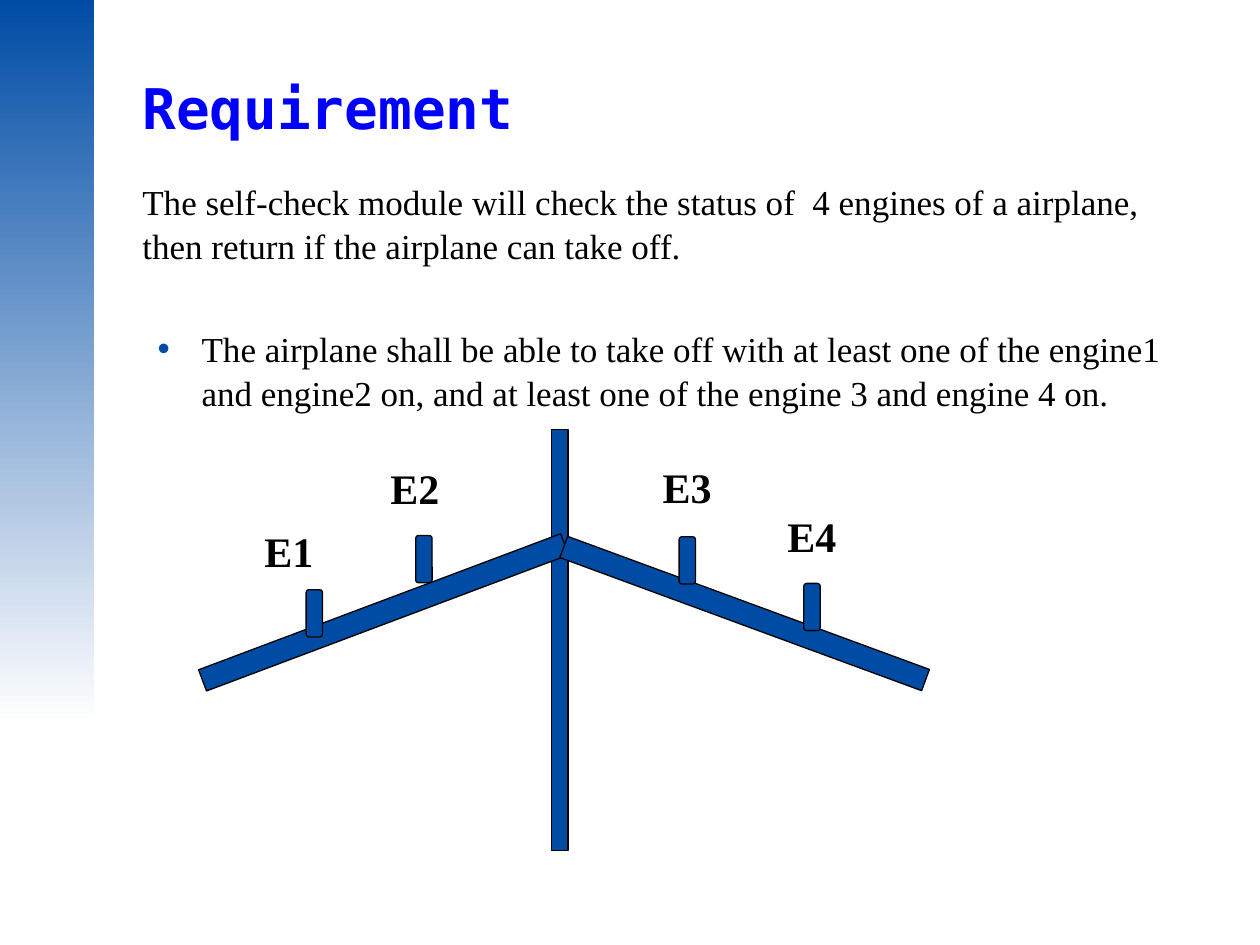
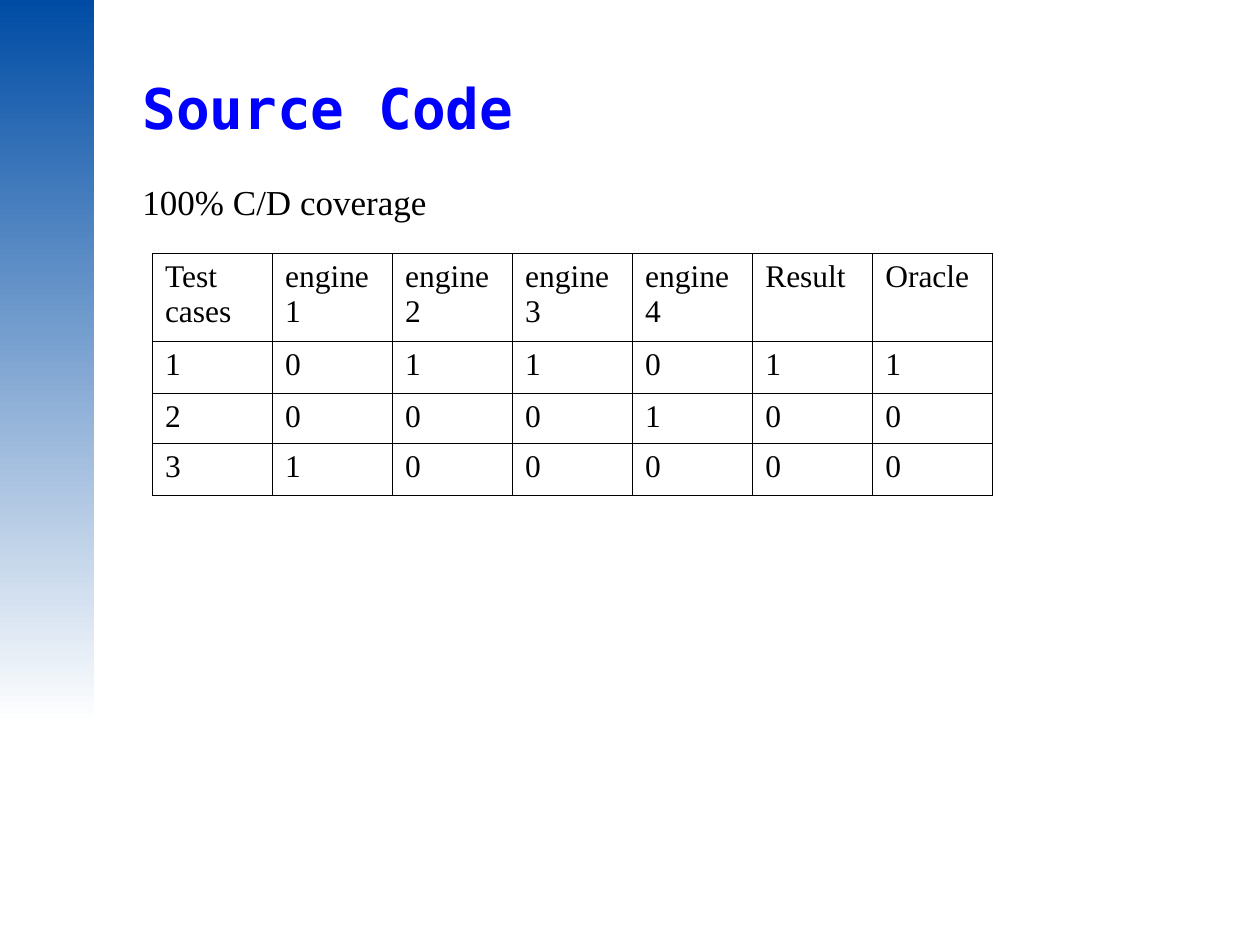
from lxml import etree
from pptx import Presentation
from pptx.dml.color import RGBColor
from pptx.enum.shapes import MSO_SHAPE
from pptx.enum.text import MSO_ANCHOR, MSO_AUTO_SIZE, PP_ALIGN
from pptx.oxml.ns import qn
from pptx.util import Inches, Pt

RECTANGLE, ROUNDED = MSO_SHAPE.RECTANGLE, MSO_SHAPE.ROUNDED_RECTANGLE
TOP, LEFT, NO_FIT = MSO_ANCHOR.TOP, PP_ALIGN.LEFT, MSO_AUTO_SIZE.NONE

COLORS = {"blue": "004CA5", "title": "0000FF", "text": "000000", "white": "FFFFFF"}
TITLE_FONT, TEXT_FONT = "DejaVu Sans Mono", "Times New Roman"

REQUIREMENT = {
    "title": "Requirement",
    "intro": "The self-check module will check the status of  4 engines of a airplane, "
             "then return if the airplane can take off.",
    "rules": ["The airplane shall be able to take off with at least one of the engine1 "
              "and engine2 on, and at least one of the engine 3 and engine 4 on."],
}
SOURCE_CODE = {"title": "Source Code", "intro": "100% C/D coverage", "rules": []}

FUSELAGE = (4.38, 3.41, 0.13, 3.34)
WINGS = [((1.51, 4.77, 3.07, 0.18), 339.4), ((4.38, 4.78, 3.06, 0.18), 20.2)]
ENGINES = [
    ("E1", (2.43, 4.68), (2, 4.12)),
    ("E2", (3.3, 4.25), (3, 3.62)),
    ("E3", (5.39, 4.26), (5.16, 3.61)),
    ("E4", (6.38, 4.63), (6.15, 4)),
]
ENGINE_SIZE, LABEL_SIZE = (0.13, 0.375), (0.59, 0.5)

TEST_CASES = [
    ["Test cases", "engine1", "engine2", "engine3", "engine4", "Result", "Oracle"],
    ["1", "0", "1", "1", "0", "1", "1"],
    ["2", "0", "0", "0", "1", "0", "0"],
    ["3", "1", "0", "0", "0", "0", "0"],
]
ROW_HEIGHTS = [0.7, 0.41, 0.4, 0.41]
TABLE_AT = (1.21, 2.01, 6.67, 1.92)


def rgb(name):
    return RGBColor.from_string(COLORS[name])


def inches(box):
    return [Inches(length) for length in box]


def place(holder, box):
    holder.left, holder.top, holder.width, holder.height = inches(box)
    frame = holder.text_frame
    frame.margin_left = frame.margin_right = frame.margin_top = frame.margin_bottom = 0
    frame.vertical_anchor, frame.auto_size, frame.word_wrap = TOP, NO_FIT, True
    return frame


def style(paragraph, size, color="text", font=TEXT_FONT, bold=False):
    paragraph.alignment = LEFT
    for run in paragraph.runs:
        run.font.name, run.font.size, run.font.bold = font, Pt(size), bold
        run.font.color.rgb = rgb(color)


def set_bullet(paragraph, bulleted):
    props = paragraph._p.get_or_add_pPr()
    margin, indent = (0.47, -0.35) if bulleted else (0, 0)
    props.set("marL", str(Inches(margin)))
    props.set("indent", str(Inches(indent)))
    if bulleted:
        color = etree.SubElement(props, qn("a:buClr"))
        etree.SubElement(color, qn("a:srgbClr"), val=COLORS["blue"])
        etree.SubElement(props, qn("a:buChar"), char="•")
    else:
        etree.SubElement(props, qn("a:buNone"))


def add_slide(prs, content):
    slide = prs.slides.add_slide(prs.slide_layouts[1])
    band = slide.shapes.add_shape(RECTANGLE, *inches((0, 0, 0.75, 5.75)))
    band.shadow.inherit = False
    band.line.fill.background()
    band.fill.gradient()
    band.fill.gradient_angle = 270
    for stop, color in zip(band.fill.gradient_stops, ("blue", "white")):
        stop.color.rgb = rgb(color)

    heading = place(slide.shapes.title, (1.13, 0.64, 8.48, 0.59))
    heading.text = content["title"]
    heading.paragraphs[0].line_spacing = 0.9
    style(heading.paragraphs[0], 32, "title", TITLE_FONT, True)

    body = place(slide.placeholders[1], (1.13, 1.42, 8.44, 5.68))
    body.text = "\n".join([content["intro"], *content["rules"]])
    for index, paragraph in enumerate(body.paragraphs):
        style(paragraph, 20)
        paragraph.line_spacing = 1.04
        paragraph.space_before = Pt(34 if index else 5)
        set_bullet(paragraph, index > 0)
    return slide


def add_part(slide, kind, box, rotation=0):
    part = slide.shapes.add_shape(kind, *inches(box))
    part.shadow.inherit = False
    part.rotation = rotation
    part.fill.solid()
    part.fill.fore_color.rgb = rgb("blue")
    part.line.color.rgb = rgb("text")
    part.line.width = Pt(0.75)
    return part


def draw_airplane(slide):
    add_part(slide, RECTANGLE, FUSELAGE)
    for box, rotation in WINGS:
        add_part(slide, RECTANGLE, box, rotation)
    for name, engine_at, label_at in ENGINES:
        engine = add_part(slide, ROUNDED, engine_at + ENGINE_SIZE)
        engine.adjustments[0] = 0.17
        label = slide.shapes.add_textbox(*inches(label_at + LABEL_SIZE)).text_frame
        label.word_wrap = False
        label.text = name
        style(label.paragraphs[0], 24, bold=True)


def add_borders(cell):
    props = cell._tc.get_or_add_tcPr()
    for side in ("lnL", "lnR", "lnT", "lnB"):
        line = etree.SubElement(props, qn(f"a:{side}"), w=str(Pt(0.45)))
        fill = etree.SubElement(line, qn("a:solidFill"))
        etree.SubElement(fill, qn("a:srgbClr"), val=COLORS["text"])


def add_test_table(slide):
    columns = len(TEST_CASES[0])
    table = slide.shapes.add_table(len(TEST_CASES), columns, *inches(TABLE_AT)).table
    table.first_row = table.horz_banding = False
    for column in table.columns:
        column.width = Inches(TABLE_AT[2] / columns)
    for row, height, values in zip(table.rows, ROW_HEIGHTS, TEST_CASES):
        row.height = Inches(height)
        for cell, value in zip(row.cells, values):
            cell.text = value
            style(cell.text_frame.paragraphs[0], 18)
            add_borders(cell)
            cell.fill.background()


def main():
    prs = Presentation()
    prs.slide_width, prs.slide_height = inches((10, 7.5))
    draw_airplane(add_slide(prs, REQUIREMENT))
    add_test_table(add_slide(prs, SOURCE_CODE))
    prs.save("out.pptx")


if __name__ == "__main__":
    main()
